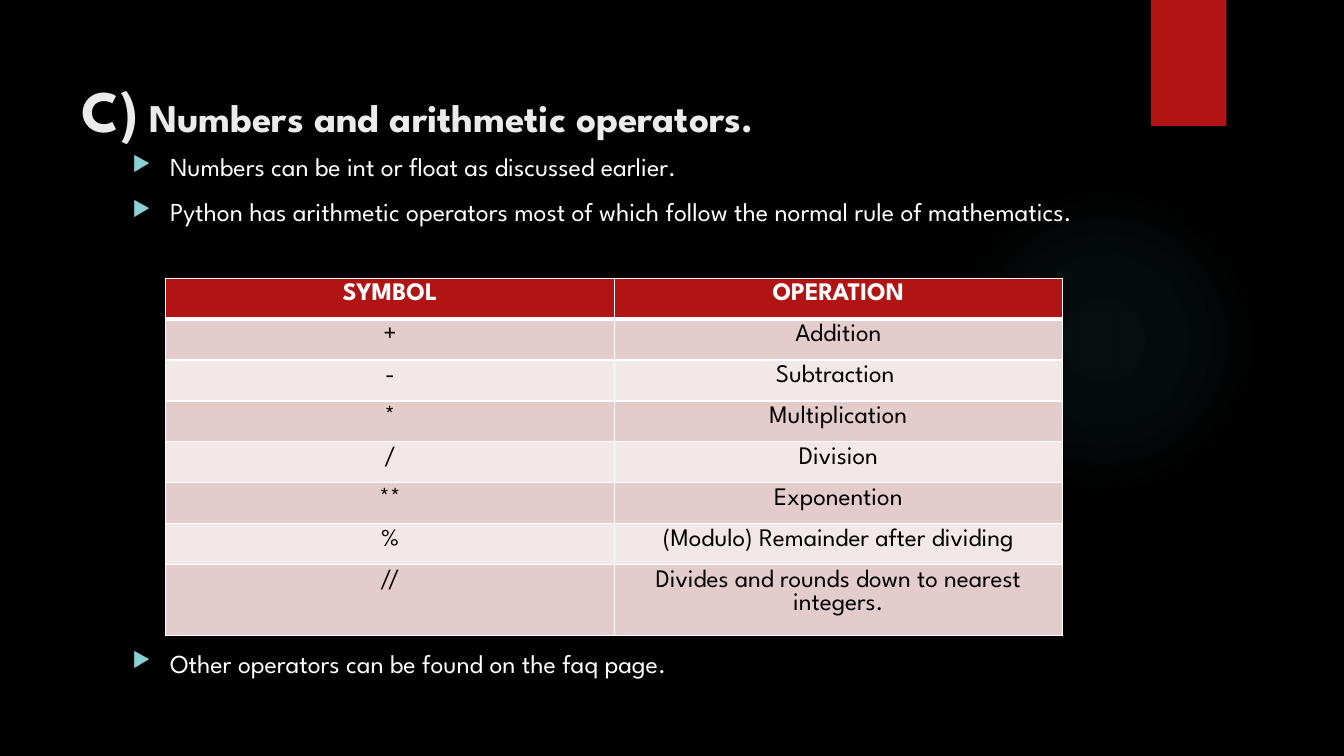
from lxml.etree import SubElement
from pptx import Presentation
from pptx.dml.color import RGBColor
from pptx.enum.shapes import MSO_SHAPE as Shape
from pptx.enum.text import PP_ALIGN as Align
from pptx.oxml import parse_xml
from pptx.oxml.ns import nsdecls, qn
from pptx.util import Pt

EMU_PER_PX = 9525
FONT = "League Spartan"
RED, WHITE, BLACK = "B01513", "FFFFFF", "000000"
BANDS = ("E4CCCC", "F2E8E7")
OPERATORS = [
    ("SYMBOL", "OPERATION"),
    ("+", "Addition"),
    ("-", "Subtraction "),
    ("*", "Multiplication"),
    ("/", "Division"),
    ("**", "Exponention"),
    ("%", "(Modulo) Remainder after dividing"),
    ("//", "Divides and rounds down to nearest integers."),
]


def px(*lengths):
    """Turn pixel lengths into EMU."""
    return [length * EMU_PER_PX for length in lengths]


def color(hex_code):
    """Turn a hex string into a colour."""
    return RGBColor.from_string(hex_code)


def apply(target, values):
    """Set every attribute named in a dict."""
    for name, value in values.items():
        setattr(target, name, value)


def write(paragraph, text, size, hex_code, bold=False):
    """Add one formatted run to a paragraph."""
    run = paragraph.add_run()
    run.text = text
    apply(run.font, {"name": FONT, "size": Pt(size), "bold": bold})
    run.font.color.rgb = color(hex_code)


def text_frame(slide, box):
    """Add a wrapping text box without margins."""
    frame = slide.shapes.add_textbox(*px(*box)).text_frame
    apply(frame, {"word_wrap": True, "margin_left": 0, "margin_right": 0,
                  "margin_top": 0, "margin_bottom": 0})
    return frame


def add_backdrop(slide, glow_box, tab_box):
    """Draw the black ground, the faint glow and the red tab."""
    ground = slide.background.fill
    ground.solid()
    ground.fore_color.rgb = color(BLACK)
    for kind, box in ((Shape.OVAL, glow_box), (Shape.RECTANGLE, tab_box)):
        part = slide.shapes.add_shape(kind, *px(*box))
        part.shadow.inherit = False
        part.line.fill.background()
        part.fill.solid()
        part.fill.fore_color.rgb = color(RED)
        if kind == Shape.OVAL:
            fade_out(part, "50B9C1", ((0, 7), (36, 6), (69, 0)))


def fade_out(part, hex_code, stops):
    """Replace a solid fill by a radial fade of (position, opacity) stops."""
    steps = "".join(
        f'<a:gs pos="{position * 1000}"><a:srgbClr val="{hex_code}">'
        f'<a:alpha val="{opacity * 1000}"/></a:srgbClr></a:gs>'
        for position, opacity in stops)
    gradient = parse_xml(
        f'<a:gradFill {nsdecls("a")}><a:gsLst>{steps}</a:gsLst><a:path path="circle">'
        '<a:fillToRect l="50000" t="50000" r="50000" b="50000"/></a:path></a:gradFill>')
    properties = part.fill._xPr
    properties.replace(properties.find(qn("a:solidFill")), gradient)


def add_heading(slide, box):
    """Write the section letter and its title."""
    heading = text_frame(slide, box).paragraphs[0]
    for text, size in (("C)", 42), (" Numbers and arithmetic operators.", 28)):
        write(heading, text, size, "EBEBEB", True)


def add_points(slide, box, points):
    """Write a list with triangle bullets."""
    frame = text_frame(slide, box)
    for index, text in enumerate(points):
        point = frame.add_paragraph() if index else frame.paragraphs[0]
        apply(point, {"line_spacing": Pt(22), "space_after": Pt(10)})
        write(point, text, 18.5, WHITE)
        properties = point._p.get_or_add_pPr()
        indent, = px(36)
        properties.set("marL", str(indent))
        properties.set("indent", str(-indent))
        tint = SubElement(properties, qn("a:buClr"))
        SubElement(tint, qn("a:srgbClr"), val="8AD0D6")
        SubElement(properties, qn("a:buSzPct"), val="80000")
        SubElement(properties, qn("a:buChar"), char="▶")


def add_borders(cell, widths):
    """Draw white borders, given a point width for each side."""
    properties = cell._tc.get_or_add_tcPr()
    for index, (side, width) in enumerate(widths.items()):
        properties.insert(index, parse_xml(
            f'<a:ln{side} {nsdecls("a")} w="{Pt(width)}"><a:solidFill>'
            f'<a:srgbClr val="{WHITE}"/></a:solidFill></a:ln{side}>'))


def add_operator_table(slide, box, rows):
    """Build the table of symbols and operations."""
    table = slide.shapes.add_table(len(rows), len(rows[0]), *px(*box)).table
    for row_index, row in enumerate(rows):
        header = row_index == 0
        table.rows[row_index].height, = px(39)
        for column_index, text in enumerate(row):
            cell = table.cell(row_index, column_index)
            cell.fill.solid()
            cell.fill.fore_color.rgb = color(RED if header else BANDS[(row_index - 1) % 2])
            add_borders(cell, {"L": 1, "R": 1, "T": 3 if row_index == 1 else 1,
                               "B": 3 if header else 1})
            label = cell.text_frame.paragraphs[0]
            label.alignment = Align.CENTER
            write(label, text, 18, WHITE if header else BLACK, header)


def main():
    """Build the slide and save it."""
    deck = Presentation()
    width, height = px(1280, 720)
    apply(deck, {"slide_width": width, "slide_height": height})
    slide = deck.slides.add_slide(deck.slide_layouts[6])
    add_backdrop(slide, (903, 176, 296, 296), (1096, 0, 72, 120))
    add_heading(slide, (78, 70, 968, 100))
    add_points(slide, (126, 144, 920, 80), [
        "Numbers can be int or float as discussed earlier.",
        "Python has arithmetic operators most of which follow the normal rule of mathematics.",
    ])
    add_operator_table(slide, (158, 265, 854, 312), OPERATORS)
    add_points(slide, (126, 617, 920, 40), ["Other operators can be found on the faq page."])
    deck.save("out.pptx")


if __name__ == "__main__":
    main()
